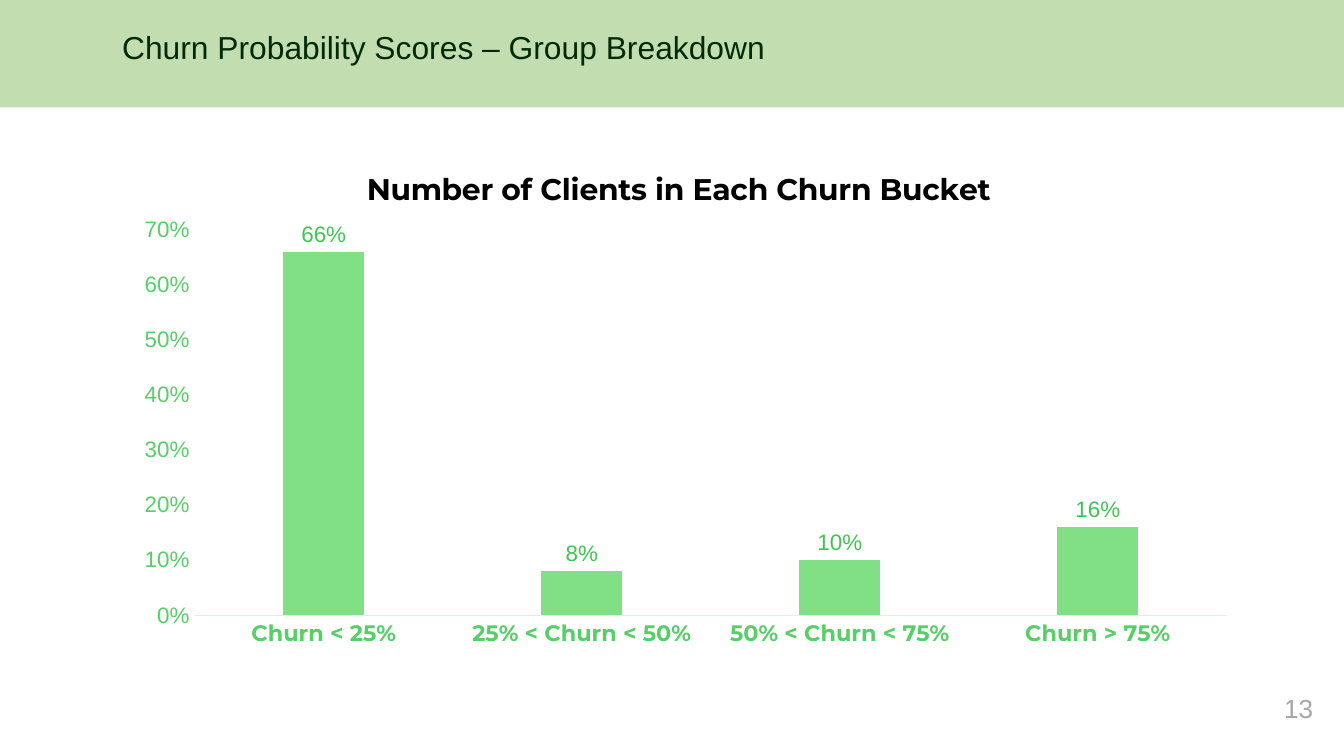
from lxml.etree import SubElement
from pptx import Presentation
from pptx.chart.data import CategoryChartData
from pptx.dml.color import RGBColor
from pptx.enum.chart import XL_CHART_TYPE, XL_LABEL_POSITION, XL_TICK_MARK
from pptx.enum.shapes import MSO_SHAPE
from pptx.enum.text import PP_ALIGN
from pptx.oxml.ns import qn
from pptx.util import Inches, Pt

BAND_GREEN = RGBColor(0xC2, 0xDD, 0xAF)
TITLE_GREEN = RGBColor(0x03, 0x2A, 0x06)
NUMBER_GRAY = RGBColor(0xA6, 0xA6, 0xA6)
CHART_GREEN = RGBColor(0x27, 0x8A, 0x35)
BAR_GREEN = RGBColor(0x81, 0xDF, 0x85)
LABEL_GREEN = RGBColor(0x3C, 0xC8, 0x50)
AXIS_GREEN = RGBColor(0x56, 0xCF, 0x67)
LINE_GREEN = RGBColor(0xD8, 0xF4, 0xDC)
BLACK = RGBColor(0, 0, 0)

CHART_BOX = (0.81, 1.15, 8.51, 3.83)
BUCKETS = {
    "Churn < 25%": 0.66,
    "25% < Churn < 50%": 0.08,
    "50% < Churn < 75%": 0.10,
    "Churn > 75%": 0.16,
}


def style_font(font, size, color, name="Arial", bold=False):
    font.size = Pt(size)
    font.color.rgb = color
    font.name = name
    font.bold = bold


def add_band(slide, width, height):
    shape = slide.shapes.add_shape(MSO_SHAPE.RECTANGLE, 0, 0, width, height)
    shape.shadow.inherit = False
    shape.fill.solid()
    shape.fill.fore_color.rgb = BAND_GREEN
    shape.line.fill.background()


def add_text(slide, text, box, size, color, align=PP_ALIGN.LEFT, margin_top=0.05):
    shape = slide.shapes.add_textbox(*map(Inches, box))
    frame = shape.text_frame
    frame.word_wrap = True
    frame.margin_top = Inches(margin_top)
    paragraph = frame.paragraphs[0]
    paragraph.text = text
    paragraph.alignment = align
    style_font(paragraph.font, size, color)


def place_part(element, index, left, top, size=None):
    """Place a chart part, with lengths in inches from the chart corner."""
    layout = element.find(qn("c:layout"))
    if layout is None:
        layout = SubElement(element, qn("c:layout"))
        element.insert(index, layout)
    chart_width, chart_height = CHART_BOX[2:]
    settings = {"xMode": "edge", "yMode": "edge",
                "x": left / chart_width, "y": top / chart_height}
    if size:
        settings = {"layoutTarget": "inner", **settings,
                    "w": size[0] / chart_width, "h": size[1] / chart_height}
    manual = SubElement(layout, qn("c:manualLayout"))
    for tag, value in settings.items():
        SubElement(manual, qn(f"c:{tag}")).set("val", str(value))


def style_axes(chart):
    category_axis, value_axis = chart.category_axis, chart.value_axis
    for axis in (category_axis, value_axis):
        axis.major_tick_mark = XL_TICK_MARK.NONE
        axis.minor_tick_mark = XL_TICK_MARK.NONE
        axis.has_major_gridlines = False
    style_font(category_axis.tick_labels.font, 12, AXIS_GREEN, "Montserrat", True)
    category_axis.format.line.color.rgb = LINE_GREEN
    category_axis.format.line.width = Pt(0.75)
    style_font(value_axis.tick_labels.font, 12, AXIS_GREEN)
    value_axis.tick_labels.number_format = "0%"
    value_axis.tick_labels.number_format_is_linked = False
    value_axis.format.line.fill.background()
    value_axis.minimum_scale = 0
    value_axis.maximum_scale = 0.7
    value_axis.major_unit = 0.1


def style_bars(plot):
    plot.gap_width = 219
    plot.overlap = -27
    plot.vary_by_categories = False
    series = plot.series[0]
    series.format.fill.solid()
    series.format.fill.fore_color.rgb = BAR_GREEN
    labels = series.data_labels
    labels.show_value = True
    labels.position = XL_LABEL_POSITION.OUTSIDE_END
    labels.number_format = "0%"
    labels.number_format_is_linked = False
    style_font(labels.font, 12, LABEL_GREEN)


def add_churn_chart(slide):
    data = CategoryChartData(number_format="0%")
    data.categories = list(BUCKETS)
    data.add_series("Series 1", list(BUCKETS.values()))
    chart = slide.shapes.add_chart(
        XL_CHART_TYPE.COLUMN_CLUSTERED, *map(Inches, CHART_BOX), data).chart
    style_font(chart.font, 10, CHART_GREEN)
    chart.has_legend = False
    chart.has_title = True
    paragraph = chart.chart_title.text_frame.paragraphs[0]
    paragraph.text = "Number of Clients in Each Churn Bucket"
    style_font(paragraph.font, 16, BLACK, "Montserrat", True)
    style_axes(chart)
    style_bars(chart.plots[0])
    place_part(chart.chart_title._element, 1, 1.88, 0.07)
    place_part(chart.plots[0]._element.getparent(), 0, 0.64, 0.56, (7.68, 2.87))


def main():
    """Build the churn probability breakdown slide."""
    presentation = Presentation()
    presentation.slide_width = Inches(10)
    presentation.slide_height = presentation.slide_width * 9 // 16
    slide = presentation.slides.add_slide(presentation.slide_layouts[6])
    add_band(slide, presentation.slide_width, Inches(0.8))
    add_text(slide, "Churn Probability Scores – Group Breakdown",
             (0.81, 0.11, 8.51, 0.51), 17, TITLE_GREEN, margin_top=0.1)
    add_text(slide, "13", (9.27, 5.1, 0.6, 0.43), 14, NUMBER_GRAY, PP_ALIGN.RIGHT)
    add_churn_chart(slide)
    presentation.save("out.pptx")


if __name__ == "__main__":
    main()
